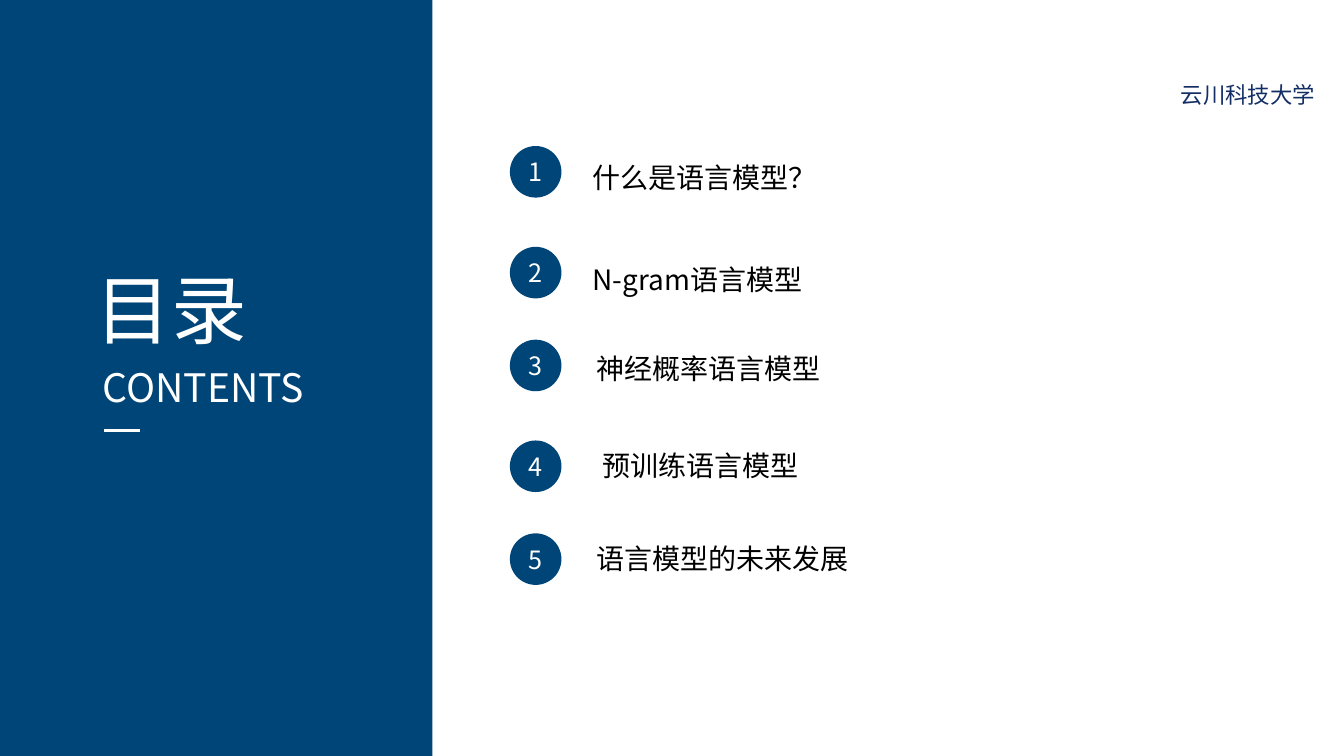
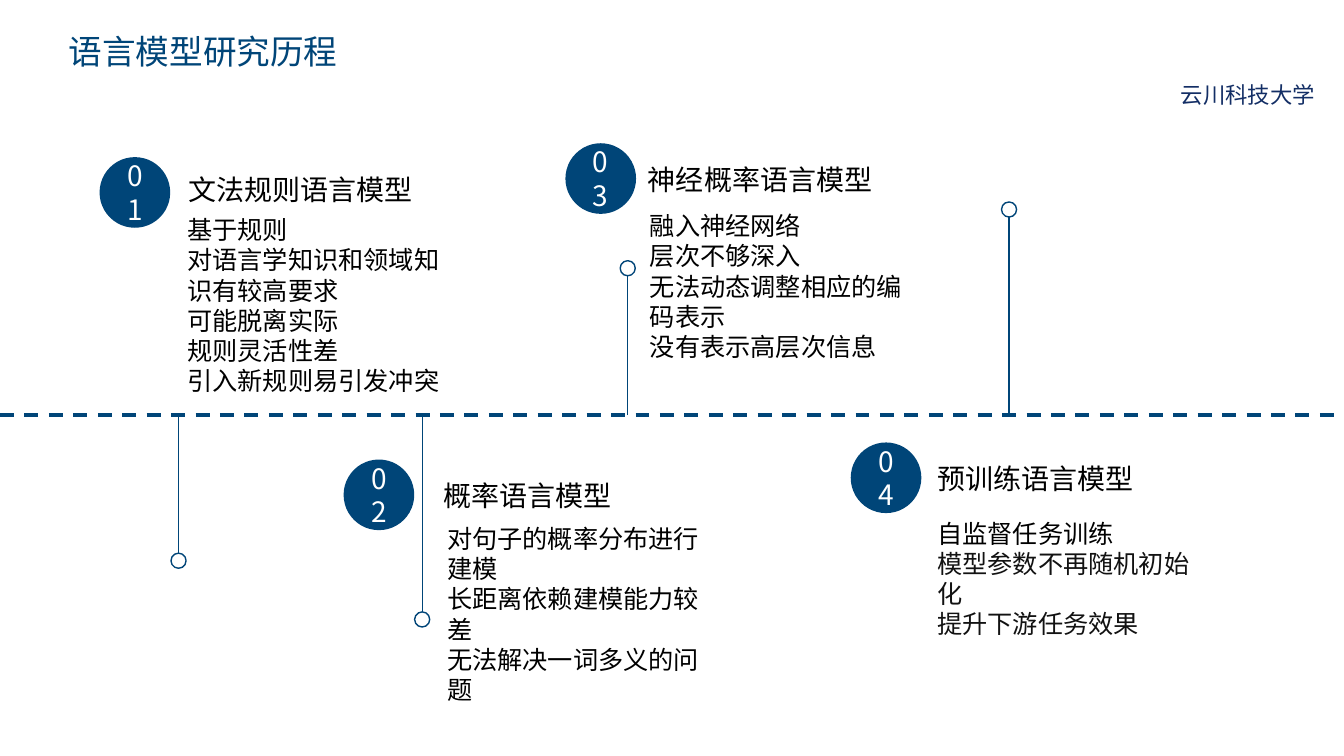
from dataclasses import dataclass

from lxml import etree
from pptx import Presentation
from pptx import util as u
from pptx.dml.color import RGBColor
from pptx.enum import dml, shapes, text
from pptx.oxml import ns


@dataclass(frozen=True)
class Theme:
    """Colours, fonts and type sizes shared by the slides."""
    blue: str = "004578"
    navy: str = "132E65"
    white: str = "FFFFFF"
    black: str = "000000"
    ink: str = "121212"
    font: str = "Noto Sans CJK SC"
    latin: str = "Arial"
    hero: int = 54
    sub: int = 28
    title: int = 24
    head: int = 20
    body: int = 18
    mark: int = 16


T = Theme()
WIDE, HIGH = 33.87, 19.05
AXIS = 10.46
LEFT, MID = text.PP_ALIGN.LEFT, text.PP_ALIGN.CENTER

ITEMS = [
    (3.68, 14.68, 3.91, "什么是语言模型？"),
    (6.22, 14.68, 6.48, "N-gram语言模型"),
    (8.56, 14.78, 8.74, "神经概率语言模型"),
    (11.1, 14.94, 11.18, "预训练语言模型"),
    (13.44, 14.78, 13.51, "语言模型的未来发展"),
]

STAGES = [
    dict(badge=(2.51, 3.96), head=(4.5, 4.22), body=(4.47, 5.28), pin=(4.5, 14.13),
         name="文法规则语言模型",
         lines=["基于规则", "对语言学知识和领域知识有较高要求", "可能脱离实际",
                "规则灵活性差", "引入新规则易引发冲突"]),
    dict(badge=(8.66, 11.58), head=(10.92, 11.94), body=(11.02, 13.06), pin=(10.64, 15.61),
         name="概率语言模型",
         lines=["对句子的概率分布进行建模", "长距离依赖建模能力较差",
                "无法解决一词多义的问题"]),
    dict(badge=(14.25, 3.61), head=(16.08, 3.96), body=(16.13, 5.18), pin=(15.82, 6.76),
         name="神经概率语言模型",
         lines=["融入神经网络", "层次不够深入", "无法动态调整相应的编码表示",
                "没有表示高层次信息"]),
    dict(badge=(21.44, 11.15), head=(23.37, 11.51), body=(23.37, 12.93), pin=(25.43, 5.28),
         name="预训练语言模型",
         lines=["自监督任务训练", "模型参数不再随机初始化", "提升下游任务效果"]),
]


def rgb(code):
    """Turn a hex code into a colour."""
    return RGBColor.from_string(code)


def style(paras, size, color, align=LEFT, font=T.font):
    """Format the runs of some paragraphs."""
    for para in paras:
        para.alignment = align
        for run in para.runs:
            run.font.size = u.Pt(size)
            run.font.name = font
            run.font.color.rgb = rgb(color)
            east = etree.SubElement(run.font._element, ns.qn("a:ea"))
            east.set("typeface", T.font)


def label(slide, left, top, width, height, words, size, color=T.black, align=LEFT):
    """Add a wrapping text box and return its paragraphs."""
    box = slide.shapes.add_textbox(u.Cm(left), u.Cm(top), u.Cm(width), u.Cm(height))
    frame = box.text_frame
    frame.text = words
    frame.word_wrap = True
    frame.auto_size = text.MSO_AUTO_SIZE.SHAPE_TO_FIT_TEXT
    style(frame.paragraphs, size, color, align)
    return frame.paragraphs


def shape(slide, kind, left, top, width, height, fill=None):
    """Add a flat shape, filled or with a thin outline."""
    item = slide.shapes.add_shape(kind, u.Cm(left), u.Cm(top), u.Cm(width), u.Cm(height))
    item.shadow.inherit = False
    if fill:
        item.fill.solid()
        item.fill.fore_color.rgb = rgb(fill)
        item.line.fill.background()
    else:
        item.fill.background()
        item.line.color.rgb = rgb(T.blue)
        item.line.width = u.Pt(1)
    return item


def badge(slide, left, top, side, words, size):
    """Add a blue disc with a number."""
    disc = shape(slide, shapes.MSO_SHAPE.OVAL, left, top, side, side, T.blue)
    frame = disc.text_frame
    frame.text = words
    frame.word_wrap = True
    frame.vertical_anchor = text.MSO_ANCHOR.MIDDLE
    style(frame.paragraphs, size, T.white, MID)


def line(slide, x1, y1, x2, y2, color, width, dash=None):
    """Add a straight line without a shadow."""
    rule = slide.shapes.add_connector(
        shapes.MSO_CONNECTOR.STRAIGHT, u.Cm(x1), u.Cm(y1), u.Cm(x2), u.Cm(y2))
    rule.line.color.rgb = rgb(color)
    rule.line.width = u.Pt(width)
    if dash:
        rule.line.dash_style = dash
    etree.SubElement(rule._element.spPr, ns.qn("a:effectLst"))


def pin(slide, x, y):
    """Add a stem from the axis to a small ring."""
    side = 0.38
    edge = y - side / 2 if y > AXIS else y + side / 2
    line(slide, x, AXIS, x, edge, T.blue, 1)
    shape(slide, shapes.MSO_SHAPE.OVAL, x - side / 2, y - side / 2, side, side)


def page(deck):
    """Add a blank slide with the school name."""
    slide = deck.slides.add_slide(deck.slide_layouts[6])
    label(slide, 29.51, 1.93, 4.01, 0.94, "云川科技大学", T.mark, T.navy)
    return slide


def agenda(deck):
    """Build the contents slide."""
    slide = page(deck)
    shape(slide, shapes.MSO_SHAPE.RECTANGLE, 0, 0, 10.9, HIGH, T.blue)
    label(slide, 2.16, 6.5, 4.52, 2.57, "目录", T.hero, T.white)
    label(slide, 2.34, 9.04, 6.22, 1.45, "CONTENTS", T.sub, T.white)
    line(slide, 2.62, 10.85, 3.53, 10.85, T.white, 2.25)
    for num, (y, left, top, words) in enumerate(ITEMS, 1):
        badge(slide, 12.85, y, 1.3, str(num), T.body)
        label(slide, left, top, 16.4, 1.12, words, T.head)


def history(deck):
    """Build the timeline slide."""
    slide = page(deck)
    label(slide, 0.08, 0.66, 10.08, 1.27, "语言模型研究历程", T.title, T.blue, MID)
    line(slide, 0, AXIS, WIDE, AXIS, T.blue, 2.5, dml.MSO_LINE.DASH)
    for num, stage in enumerate(STAGES, 1):
        pin(slide, *stage["pin"])
        badge(slide, *stage["badge"], 1.78, f"{num:02}", T.head)
        label(slide, *stage["head"], 8.4, 1.12, stage["name"], T.head)
        paras = label(slide, *stage["body"], 7.37, 4.1, "\n".join(stage["lines"]), T.body)
    style(paras[1:], T.body, T.ink, font=T.latin)


def main():
    """Build and save the deck."""
    deck = Presentation()
    deck.slide_width, deck.slide_height = u.Cm(WIDE), u.Cm(HIGH)
    agenda(deck)
    history(deck)
    deck.save("out.pptx")


if __name__ == "__main__":
    main()
